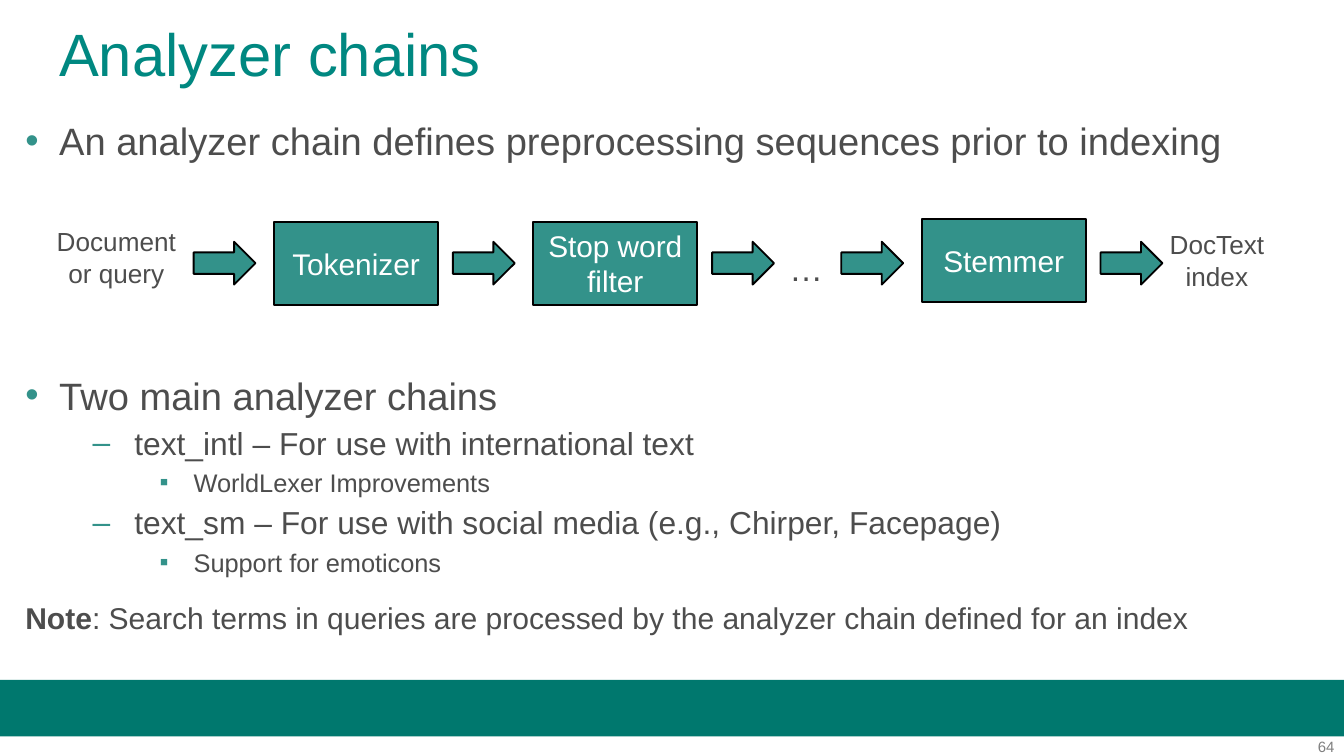
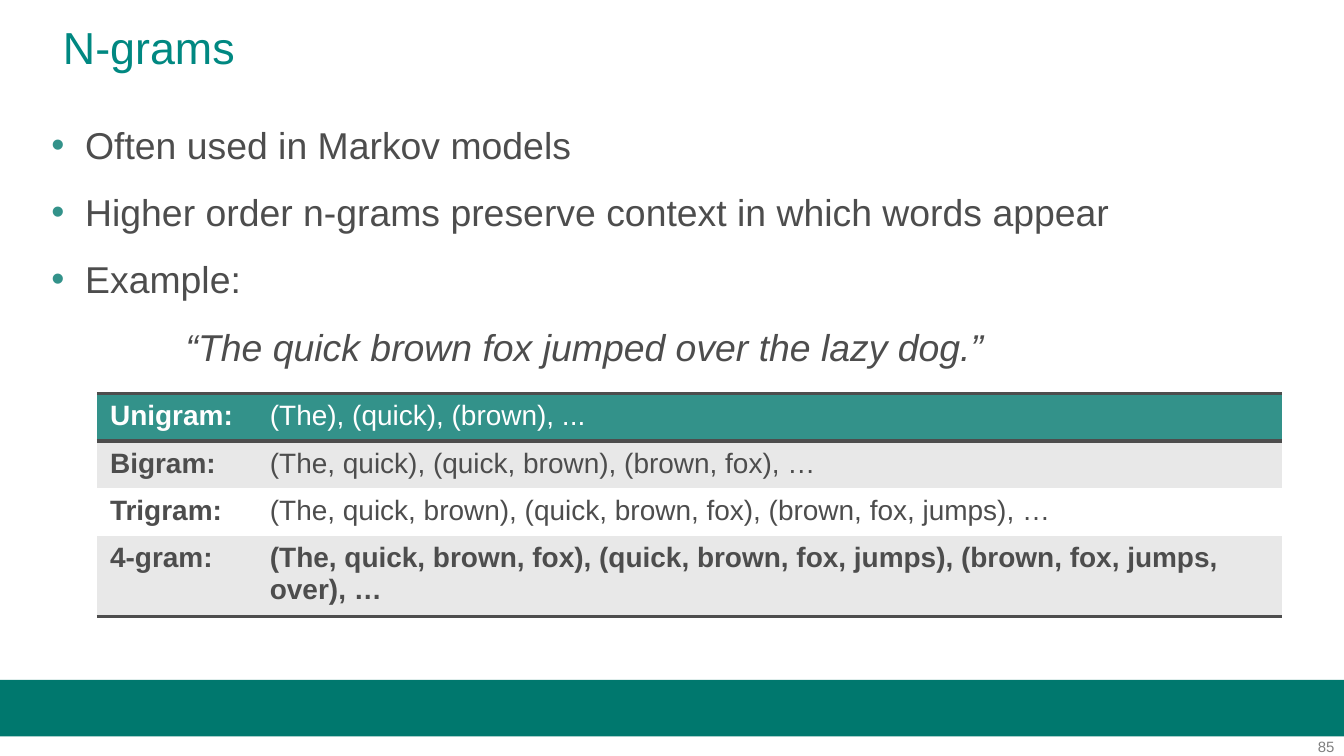
from lxml import etree
from pptx import Presentation
from pptx.dml.color import RGBColor
from pptx.enum.shapes import MSO_SHAPE
from pptx.enum.text import MSO_ANCHOR, PP_ALIGN
from pptx.oxml.ns import qn
from pptx.util import Cm, Pt

RECT, ARROW = MSO_SHAPE.RECTANGLE, MSO_SHAPE.RIGHT_ARROW
LEFT, MID, RIGHT = PP_ALIGN.LEFT, PP_ALIGN.CENTER, PP_ALIGN.RIGHT
TOP, CENTER = MSO_ANCHOR.TOP, MSO_ANCHOR.MIDDLE

FONT = "Arial"
TEAL, BAND, HEAD = "33928A", "00786E", "008881"
INK, GRAY, PALE, WHITE, BLACK = "4D4D4D", "7F7F7F", "E8E8E8", "FFFFFF", "000000"
PAD = (0.25, 0.13)
BULLETS = {
    0: dict(mark="•", left=0.64, hang=0.64),
    1: dict(mark="–", left=2.06, hang=0.79),
    2: dict(mark="▪", left=3.18, hang=0.64),
}


def color(value):
    """Turn a hex string into a colour."""
    return RGBColor.from_string(value)


def sub(parent, tag, **attrs):
    """Append a drawing element with attributes."""
    return etree.SubElement(parent, qn("a:" + tag), {k: str(v) for k, v in attrs.items()})


def write(para, text, size=20, ink=INK, bold=False, italic=False, align=LEFT,
          before=0, line=None, mark=None, left=0, hang=0, level=0):
    """Write text, or (text, bold) pairs, into a paragraph."""
    props = para._p.get_or_add_pPr()
    props.set("marL", str(Cm(left)))
    props.set("indent", str(-Cm(hang)))
    if mark:
        sub(sub(props, "buClr"), "srgbClr", val=TEAL)
        sub(props, "buFont", typeface=FONT)
        sub(props, "buChar", char=mark)
    para.level = level
    para.alignment = align
    if before:
        para.space_before = Pt(before)
    if line:
        para.line_spacing = line
    for part, heavy in [(text, bold)] if isinstance(text, str) else text:
        run = para.add_run()
        run.text = part
        font = run.font
        font.name, font.size = FONT, Pt(size)
        font.bold, font.italic = heavy, italic
        font.color.rgb = color(ink)


def setup(frame, pad=(0, 0), anchor=TOP):
    """Set the wrap, margins and anchor of a text frame."""
    frame.word_wrap = True
    frame.margin_left = frame.margin_right = Cm(pad[0])
    frame.margin_top = frame.margin_bottom = Cm(pad[1])
    frame.vertical_anchor = anchor


def label(slide, box, text, pad=(0, 0), **style):
    """Add a text box with one paragraph."""
    frame = slide.shapes.add_textbox(*map(Cm, box)).text_frame
    setup(frame, pad)
    write(frame.paragraphs[0], text, **style)


def block(slide, kind, box, fill, edge=None):
    """Add a filled shape without a shadow."""
    shape = slide.shapes.add_shape(kind, *map(Cm, box))
    shape.shadow.inherit = False
    shape.fill.solid()
    shape.fill.fore_color.rgb = color(fill)
    if edge:
        shape.line.color.rgb = color(edge)
        shape.line.width = Pt(1)
    else:
        shape.line.fill.background()
    return shape


def base(deck, title, number, left, size):
    """Add a slide with its title, band and number."""
    slide = deck.slides.add_slide(deck.slide_layouts[6])
    block(slide, RECT, (0, 12.85, 25.4, 1.07), BAND)
    label(slide, (23.75, 13.94, 1.47, 0.36), number, size=8, ink=GRAY, align=RIGHT)
    label(slide, (left, 0.48, 23.37, 1.27), title, size=size, ink=HEAD, line=0.9)
    return slide


def body(slide, box, items):
    """Fill a text box with (text, format) paragraphs."""
    frame = slide.shapes.add_textbox(*map(Cm, box)).text_frame
    setup(frame)
    for i, (text, style) in enumerate(items):
        para = frame.add_paragraph() if i else frame.paragraphs[0]
        write(para, text, **style)


def bullet(text, level=0, **style):
    """Pair a text with the format of its bullet level."""
    return text, {**BULLETS[level], "level": level, **style}


def flow(slide, x, y):
    """Draw the chain of steps and arrows."""
    wide, high, lead, gap = 3.1, 1.57, 1.52, 0.28
    steps = [("Tokenizer", 4.44, 0.05), ("Stop word filter", 9.34, 0.05), ("Stemmer", 16.68, 0)]
    for text, left, top in steps:
        shape = block(slide, RECT, (x + left, y + top, wide, high), TEAL, BLACK)
        setup(shape.text_frame, PAD, CENTER)
        write(shape.text_frame.paragraphs[0], text, size=16, ink=WHITE, align=MID)
    spots = [left - lead for _, left, _ in steps]
    spots += [left + wide + gap for _, left, _ in steps[1:]]
    for left in spots:
        block(slide, ARROW, (x + left, y + 0.43, 1.17, 0.81), TEAL, BLACK)
    for text, left, top, width, size in [
        ("Document or query", 0, 0, 2.92, 14),
        ("…", 13.15, 0.41, 2.69, 18),
        ("DocText index", 20.8, 0.05, 2.92, 14),
    ]:
        label(slide, (x + left, y + top, width, 1.45), text, PAD, size=size, align=MID)


def border(cell, edges):
    """Rule the named edges of a cell and clear the others."""
    props = cell._tc.get_or_add_tcPr()
    for side in "LRTB":
        if side in edges:
            line = sub(props, "ln" + side, w=Pt(2))
            sub(sub(line, "solidFill"), "srgbClr", val=INK)
        else:
            sub(sub(props, "ln" + side, w=0), "noFill")


def grid(slide, x, y, rows):
    """Draw the table of n-grams."""
    cols, high, last = (3.02, 19.38), 0.89, len(rows) - 1
    size = map(Cm, (x, y, sum(cols), high * len(rows)))
    table = slide.shapes.add_table(len(rows), len(cols), *size).table
    for col, width in zip(table.columns, cols):
        col.width = Cm(width)
    for r, row in enumerate(rows):
        table.rows[r].height = Cm(1.42 if r == last else high)
        edges = {0: "TB", 1: "T", last: "B"}.get(r, "")
        fill = TEAL if r == 0 else PALE if r % 2 else WHITE
        for c, text in enumerate(row):
            cell = table.cell(r, c)
            border(cell, edges)
            cell.fill.solid()
            cell.fill.fore_color.rgb = color(fill)
            cell.margin_left = cell.margin_right = Cm(PAD[0])
            cell.margin_top = cell.margin_bottom = Cm(PAD[1])
            write(cell.text_frame.paragraphs[0], text, size=15,
                  ink=INK if r else WHITE, bold=c == 0 or r == last)


def chains(deck):
    """Build the slide on analyzer chains."""
    slide = base(deck, "Analyzer chains", "64", 1.12, 32)
    body(slide, (0.48, 2.39, 23.37, 10), [
        bullet("An analyzer chain defines preprocessing sequences prior to indexing",
               size=20.4, line=0.8),
        bullet("Two main analyzer chains", size=20.4, before=112),
        bullet("text_intl – For use with international text", 1, size=17, before=3),
        bullet("WorldLexer Improvements", 2, size=13.6, before=3),
        bullet("text_sm – For use with social media (e.g., Chirper, Facepage)", 1,
               size=17, before=3),
        bullet("Support for emoticons", 2, size=13.6, before=3),
        ([("Note", True), (": Search terms in queries are processed by the analyzer "
                           "chain defined for an index", False)],
         dict(size=16.1, before=12)),
    ])
    flow(slide, 0.74, 4.14)


def grams(deck):
    """Build the slide on n-grams."""
    slide = base(deck, "N-grams", "85", 1.19, 24)
    body(slide, (0.97, 2.31, 23.37, 5), [
        bullet("Often used in Markov models"),
        bullet("Higher order n-grams preserve context in which words appear", before=12),
        bullet("Example:", before=12),
        ("“The quick brown fox jumped over the lazy dog.”",
         dict(italic=True, left=2.54, before=12)),
    ])
    grid(slide, 1.83, 7.44, [
        ("Unigram:", "(The), (quick), (brown), ..."),
        ("Bigram:", "(The, quick), (quick, brown), (brown, fox), …"),
        ("Trigram:", "(The, quick, brown), (quick, brown, fox), (brown, fox, jumps), …"),
        ("4-gram:", "(The, quick, brown, fox), (quick, brown, fox, jumps), "
                    "(brown, fox, jumps, over), …"),
    ])


def main():
    """Build and save the deck."""
    deck = Presentation()
    deck.slide_width, deck.slide_height = Cm(25.4), Cm(14.29)
    chains(deck)
    grams(deck)
    deck.save("out.pptx")


if __name__ == "__main__":
    main()
